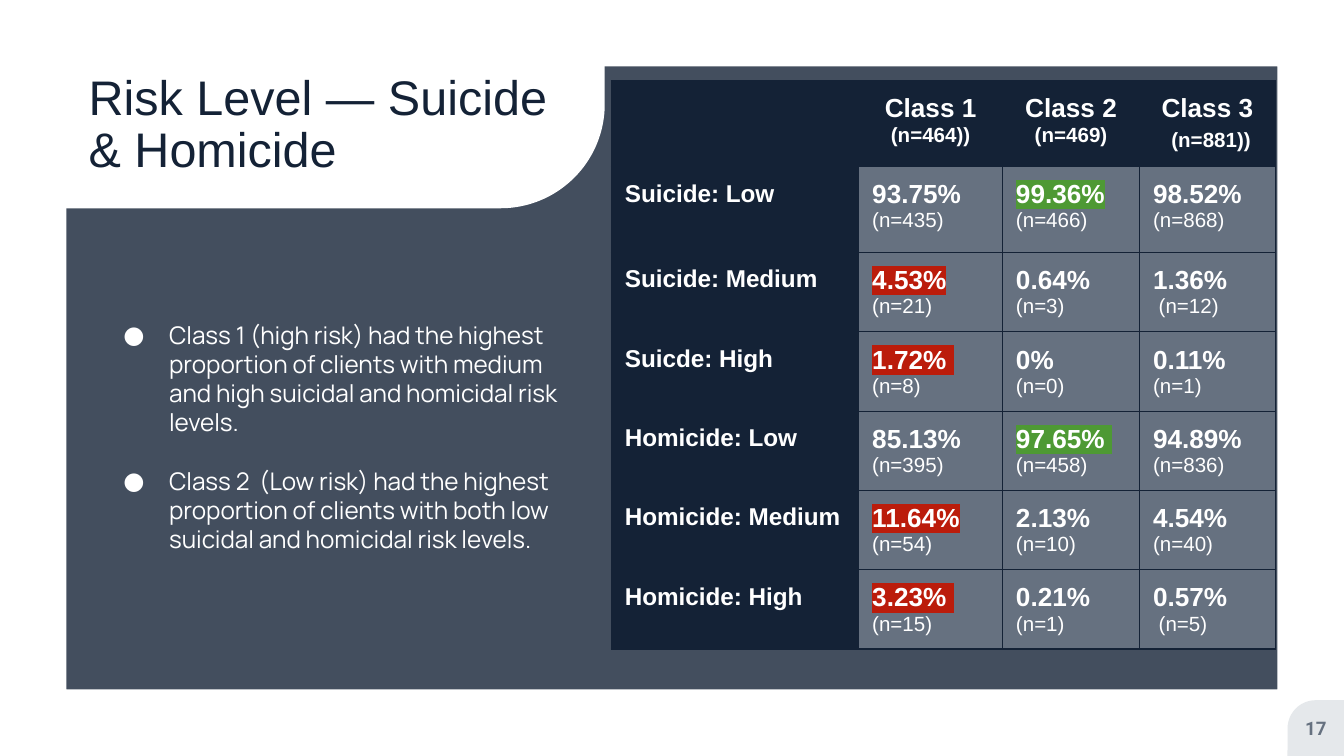
"""Build the slide on suicide and homicide risk level by class."""
from lxml import etree
from pptx import Presentation
from pptx.dml.color import RGBColor as Rgb
from pptx.enum.shapes import MSO_SHAPE as Kind
from pptx.enum.text import MSO_ANCHOR as Anchor, PP_ALIGN as Align
from pptx.oxml.ns import qn
from pptx.util import Inches, Pt

INK = {"navy": "142236", "white": "FFFFFF", "mist": "E5E8EB",
       "slate": "667180", "green": "4E9934", "red": "BB1C0B"}


def panel(kind, box, color, adj=None, flip=None):
    form = deck.shapes.add_shape(kind, *map(Inches, box))
    form.shadow.inherit = False
    form.fill.solid()
    form.fill.fore_color.rgb = Rgb.from_string(INK[color])
    form.line.fill.background()
    if adj:
        form.adjustments[0] = adj
    if flip:
        form.element.spPr.find(qn("a:xfrm")).set(flip, "1")
    return form


def style(par, size, color, face="Arial", bold=False):
    for run in par.runs:
        run.font.size = Pt(size)
        run.font.name = face
        run.font.bold = bold
        run.font.color.rgb = Rgb.from_string(INK[color])


show = Presentation()
show.slide_width, show.slide_height = Inches(10), Inches(10 * 9 / 16)
deck = show.slides.add_slide(show.slide_layouts[6])
full = (0, 0, 10, 10 * 9 / 16)

back = panel(Kind.RECTANGLE, full, "navy")
tone = back.element.spPr.find(qn("a:solidFill"))[0]
etree.SubElement(tone, qn("a:alpha"), val="80000")
panel(Kind.FRAME, full, "white", 0.088)
panel(Kind.ROUND_1_RECTANGLE, (0, 0, 4.5, 1.55), "white", 0.5, "flipV")
panel(Kind.ROUND_1_RECTANGLE, (9.58, 5.21, 0.42, 0.42), "mist", 0.5, "flipH")

notes = [
    "Class 1 (high risk) had the highest proportion of clients with medium "
    "and high suicidal and homicidal risk levels.",
    "Class 2  (Low risk) had the highest proportion of clients with both low "
    "suicidal and homicidal risk levels.",
]
texts = [
    ((0.66, 0.39, 3.62, 1.09), ["Risk Level — Suicide", "& Homicide"],
     0, Anchor.MIDDLE, (26, "navy", "Arial")),
    ((9.58, 5.21, 0.42, 0.42), ["17"],
     0, Anchor.MIDDLE, (10, "slate", "Roboto", True)),
    ((0.66, 2.28, 3.62, 1.95), notes,
     0.1, Anchor.TOP, (13, "white", "Manrope")),
]
frames = []
for box, lines, inset, anchor, look in texts:
    frame = deck.shapes.add_textbox(*map(Inches, box)).text_frame
    frame.word_wrap = True
    frame.vertical_anchor = anchor
    frame.margin_left = frame.margin_right = Inches(inset)
    frame.margin_top = frame.margin_bottom = Inches(inset)
    frame.text = "\n".join(lines)
    for par in frame.paragraphs:
        style(par, *look)
    frames.append(frame)

title, page, points = frames
for par in title.paragraphs:
    par.line_spacing = 0.9
page.paragraphs[0].alignment = Align.CENTER
points.paragraphs[1].space_before = Pt(15.7)
for par in points.paragraphs:
    props = par._p.get_or_add_pPr()
    props.set("marL", str(Inches(0.5)))
    props.set("indent", str(Inches(-0.34)))
    tint = etree.SubElement(props, qn("a:buClr"))
    etree.SubElement(tint, qn("a:srgbClr"), val=INK["white"])
    etree.SubElement(props, qn("a:buFont"), typeface="Manrope")
    etree.SubElement(props, qn("a:buChar"), char="●")

rows = [
    ["", "Class 1\n(n=464))", "Class 2 (n=469)", "Class 3\n (n=881))"],
    ["Suicide: Low", "93.75%\n(n=435)", "99.36%\n(n=466)", "98.52%\n(n=868)"],
    ["Suicide: Medium", "4.53%\n(n=21)", "0.64%\n(n=3)", "1.36%\n (n=12)"],
    ["Suicde: High", "1.72% \n(n=8)", "0%\n(n=0)", "0.11%\n(n=1)"],
    ["Homicide: Low", "85.13% (n=395)", "97.65% \n(n=458)", "94.89%\n(n=836)"],
    ["Homicide: Medium", "11.64%\n(n=54)", "2.13%\n(n=10)", "4.54%\n(n=40)"],
    ["Homicide: High", "3.23% \n(n=15)", "0.21%\n(n=1)", "0.57%\n (n=5)"],
]
marks = {(1, 2): "green", (4, 2): "green", (2, 1): "red",
         (3, 1): "red", (5, 1): "red", (6, 1): "red"}
widths = [1.84, 1.07, 1.02, 1.01]
heights = [0.64] * 2 + [0.59] * 5
grid = deck.shapes.add_table(
    len(rows), len(widths), Inches(4.55), Inches(0.6),
    Inches(3.28), Inches(3.28)).table
frame = deck.shapes[-1]
grid.first_row = grid.horz_banding = False
for col, width in zip(grid.columns, widths):
    col.width = Inches(width)
for row, height in zip(grid.rows, heights):
    row.height = Inches(height)
frame.width, frame.height = Inches(3.28), Inches(3.28)

for r, row in enumerate(rows):
    for c, text in enumerate(row):
        cell = grid.cell(r, c)
        cell.margin_left = cell.margin_right = Inches(0.1)
        cell.margin_top, cell.margin_bottom = Inches(0.1), Inches(0.07)
        cell.fill.solid()
        shade = "slate" if r and c else "navy"
        cell.fill.fore_color.rgb = Rgb.from_string(INK[shade])
        cell.text_frame.text = text
        for n, par in enumerate(cell.text_frame.paragraphs):
            size = 11 if n else 14 if c else 13
            style(par, size, "white", bold=not (r and n))
            if r == 0:
                par.alignment = Align.CENTER
        if (r, c) in marks:
            run = cell.text_frame.paragraphs[0].runs[0]
            glow = etree.Element(qn("a:highlight"))
            etree.SubElement(glow, qn("a:srgbClr"), val=INK[marks[r, c]])
            run.font._element.find(qn("a:solidFill")).addnext(glow)
        for n, side in enumerate(["lnL", "lnR", "lnT", "lnB"]):
            edge = etree.Element(qn("a:" + side), w=str(Pt(0.75)))
            fill = etree.SubElement(edge, qn("a:solidFill"))
            etree.SubElement(fill, qn("a:srgbClr"), val=INK["navy"])
            cell._tc.get_or_add_tcPr().insert(n, edge)

for r, c, head, tail in [(0, 2, "Class 2 ", "(n=469)"),
                         (0, 3, " ", "(n=881))"),
                         (4, 1, "85.13% ", "(n=395)")]:
    par = grid.cell(r, c).text_frame.paragraphs[-1]
    par.text = head
    par.add_run().text = tail
    style(par, 11, "white", bold=True)
    par.runs[0].font.size = Pt(14)
    par.runs[1].font.bold = r == 0

show.save("out.pptx")
